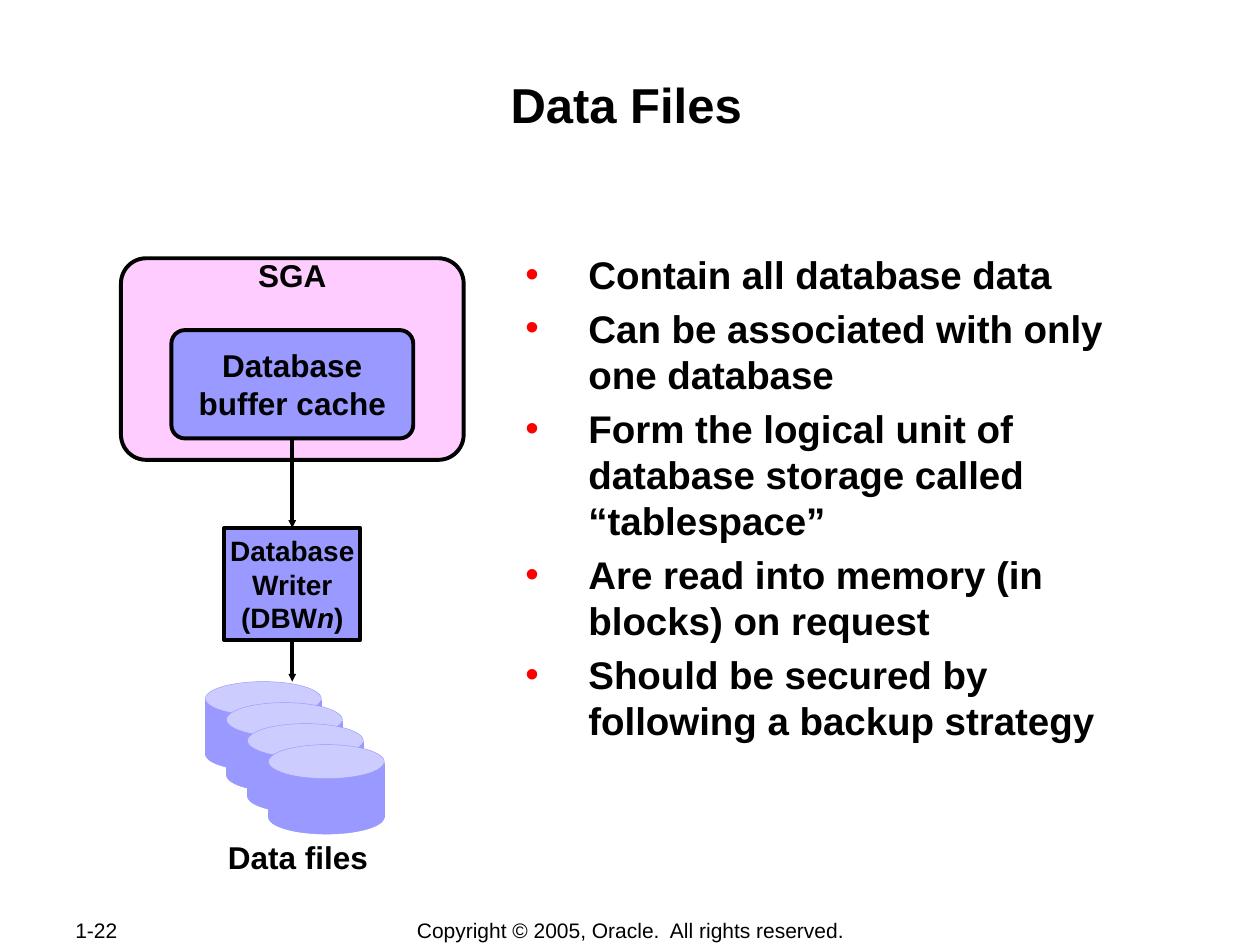
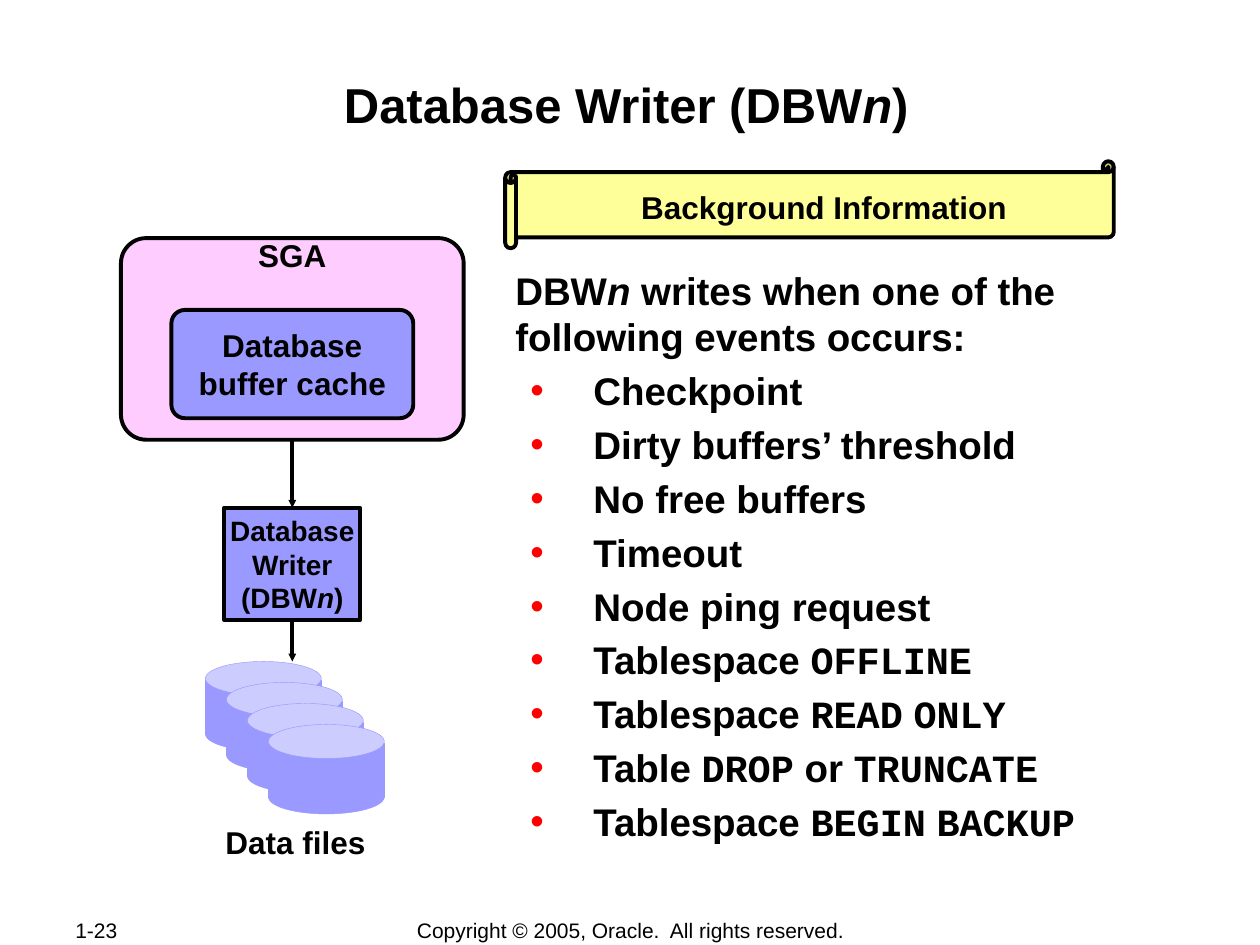
from lxml.etree import SubElement
from pptx import Presentation
from pptx.dml.color import RGBColor
from pptx.enum.shapes import MSO_CONNECTOR, MSO_SHAPE as SHAPE
from pptx.enum.text import MSO_ANCHOR as ANCHOR, PP_ALIGN as ALIGN
from pptx.oxml.ns import qn
from pptx.util import Inches, Pt

BLACK = RGBColor(0x00, 0x00, 0x00)
RED = RGBColor(0xFF, 0x00, 0x00)
PINK = RGBColor(0xFF, 0xCC, 0xFF)
VIOLET = RGBColor(0x99, 0x99, 0xFF)
LAVENDER = RGBColor(0xCC, 0xCC, 0xFF)
YELLOW = RGBColor(0xFF, 0xFF, 0x99)

BODY_FONT = "Arial"
CODE_FONT = "Courier New"
TOP, BOTTOM = 0, 2
THIN_INSETS = (0.01, 0.01)
DEFAULT_INSETS = (0.1, 0.05)
DISK_COUNT = 4
DISK_STEP = 1 / 6
COPYRIGHT = "Copyright © 2005, Oracle.  All rights reserved."


def italic(text):
    return text, {"italic": True}


def code(text):
    return text, {"name": CODE_FONT}


DBWN = ["(DBW", italic("n"), ")"]


def add_bullet(paragraph):
    properties = paragraph._p.get_or_add_pPr()
    properties.set("marL", str(Inches(0.62)))
    properties.set("indent", str(Inches(-0.5)))
    color = SubElement(properties, qn("a:buClr"))
    SubElement(color, qn("a:srgbClr"), val=str(RED))
    SubElement(properties, qn("a:buFont"), typeface=BODY_FONT)
    SubElement(properties, qn("a:buChar"), char="•")


def write(shape, paragraphs, size=18, bold=True, align=ALIGN.CENTER,
          anchor=ANCHOR.TOP, insets=DEFAULT_INSETS, wrap=False,
          line_spacing=None, space_before=0, bullets_from=None):
    """Fill a shape with text; a paragraph is a string or a list of runs."""
    frame = shape.text_frame
    frame.word_wrap = wrap
    frame.vertical_anchor = anchor
    frame.margin_left = frame.margin_right = Inches(insets[0])
    frame.margin_top = frame.margin_bottom = Inches(insets[1])
    for index, content in enumerate(paragraphs):
        paragraph = frame.add_paragraph() if index else frame.paragraphs[0]
        if bullets_from is not None and index >= bullets_from:
            add_bullet(paragraph)
        paragraph.alignment = align
        if line_spacing:
            paragraph.line_spacing = line_spacing
        if index and space_before:
            paragraph.space_before = Pt(space_before)
        for part in [content] if isinstance(content, str) else content:
            text, style = (part, {}) if isinstance(part, str) else part
            run = paragraph.add_run()
            run.text = text
            run.font.name = style.get("name", BODY_FONT)
            run.font.size = Pt(size)
            run.font.bold = bold
            run.font.italic = style.get("italic", False)
            run.font.color.rgb = BLACK


def add_text(slide, box, paragraphs, **style):
    write(slide.shapes.add_textbox(*map(Inches, box)), paragraphs, **style)


def add_block(slide, kind, box, fill, line=BLACK, width=2.25):
    block = slide.shapes.add_shape(kind, *map(Inches, box))
    block.shadow.inherit = False
    block.fill.solid()
    block.fill.fore_color.rgb = fill
    block.line.color.rgb = line
    block.line.width = Pt(width)
    return block


def add_arrow(slide, x, start_y, end_y):
    arrow = slide.shapes.add_connector(
        MSO_CONNECTOR.STRAIGHT, Inches(x), Inches(start_y), Inches(x), Inches(end_y))
    arrow.line.color.rgb = BLACK
    arrow.line.width = Pt(2.25)
    SubElement(arrow.line._get_or_add_ln(), qn("a:tailEnd"),
               type="triangle", w="sm", len="sm")
    SubElement(arrow._element.spPr, qn("a:effectLst"))
    return arrow


def add_disk(slide, left, top):
    parts = [(SHAPE.RECTANGLE, 0.15, 0.43, VIOLET),
             (SHAPE.OVAL, 0, 0.27, LAVENDER),
             (SHAPE.OVAL, 0.44, 0.27, VIOLET)]
    for kind, drop, height, fill in parts:
        add_block(slide, kind, (left, top + drop, 0.92, height), fill, VIOLET, 0.25)


def add_writer_diagram(slide, top, caption_at, arrow_from_cache):
    """Draw the flow from the SGA through the writer to the data files."""
    sga = add_block(slide, SHAPE.ROUNDED_RECTANGLE, (0.96, top, 2.72, 1.6), PINK)
    sga.adjustments[0] = 0.125
    add_text(slide, (1.85, top, 0.94, 0.32), ["SGA"],
             insets=(0.06, 0.03), wrap=True, line_spacing=0.85)

    cache = add_block(slide, SHAPE.ROUNDED_RECTANGLE,
                      (1.36, top + 0.57, 1.92, 0.86), VIOLET)
    cache.adjustments[0] = 0.125
    write(cache, ["Database", "buffer cache"], anchor=ANCHOR.MIDDLE)

    writer = add_block(slide, SHAPE.RECTANGLE, (1.78, top + 2.14, 1.08, 0.89), VIOLET)
    write(writer, ["Database", "Writer", DBWN], size=16,
          anchor=ANCHOR.MIDDLE, insets=(0.05, 0.05))

    for number in range(DISK_COUNT):
        shift = number * DISK_STEP
        add_disk(slide, 1.63 + shift, top + 3.36 + shift)
    add_text(slide, (*caption_at, 1.31, 0.4), ["Data files"])

    to_writer = add_arrow(slide, 2.32, top + 1.43, top + 2.14)
    to_writer.begin_connect(cache if arrow_from_cache else sga, BOTTOM)
    to_writer.end_connect(writer, TOP)
    to_disks = add_arrow(slide, 2.32, top + 3.03, top + 3.36)
    to_disks.begin_connect(writer, BOTTOM)


def add_body(slide, box, paragraphs, bullets_from):
    add_text(slide, box, paragraphs, size=22, align=ALIGN.LEFT, insets=THIN_INSETS,
             wrap=True, space_before=4.4, bullets_from=bullets_from)


def add_banner(slide, text):
    scroll = add_block(slide, SHAPE.HORIZONTAL_SCROLL, (4.01, 1.28, 4.83, 0.69), YELLOW)
    scroll.adjustments[0] = 0.125
    add_text(slide, (4.99, 1.44, 3.1, 0.4), [text])


def add_page(deck, title, number):
    """Add a blank slide with the shared title and footer."""
    slide = deck.slides.add_slide(deck.slide_layouts[6])
    add_text(slide, (2.76, 7.28, 4.49, 0.21), [COPYRIGHT],
             size=12, bold=False, anchor=ANCHOR.MIDDLE)
    add_text(slide, (0.5, 7.28, 1.06, 0.2), [number], size=12, bold=False,
             align=ALIGN.LEFT, anchor=ANCHOR.MIDDLE, wrap=True)
    add_text(slide, (0.97, 0.58, 8, 0.96), [title], size=28,
             insets=THIN_INSETS, wrap=True)
    return slide


def build_data_files(deck):
    slide = add_page(deck, "Data Files", "1-22")
    add_body(slide, (4.04, 1.98, 4.99, 4.42), [
        "Contain all database data",
        "Can be associated with only one database",
        "Form the logical unit of database storage called “tablespace”",
        "Are read into memory (in blocks) on request",
        "Should be secured by following a backup strategy",
    ], bullets_from=0)
    add_writer_diagram(slide, 2.05, (1.71, 6.6), arrow_from_cache=True)


def build_database_writer(deck):
    slide = add_page(deck, ["Database Writer ", *DBWN], "1-23")
    add_body(slide, (4.08, 2.11, 4.95, 4.71), [
        ["DBW", italic("n"), " writes when one of the following events occurs:"],
        "Checkpoint",
        "Dirty buffers’ threshold",
        "No free buffers",
        "Timeout",
        "Node ping request",
        ["Tablespace ", code("OFFLINE")],
        ["Tablespace ", code("READ"), " ", code("ONLY")],
        ["Table ", code("DROP"), " or ", code("TRUNCATE")],
        ["Tablespace ", code("BEGIN"), " ", code("BACKUP")],
    ], bullets_from=1)
    add_writer_diagram(slide, 1.89, (1.69, 6.48), arrow_from_cache=False)
    add_banner(slide, "Background Information")


def main():
    deck = Presentation()
    deck.slide_width = Inches(10)
    deck.slide_height = Inches(7.5)
    build_data_files(deck)
    build_database_writer(deck)
    deck.save("out.pptx")


if __name__ == "__main__":
    main()
